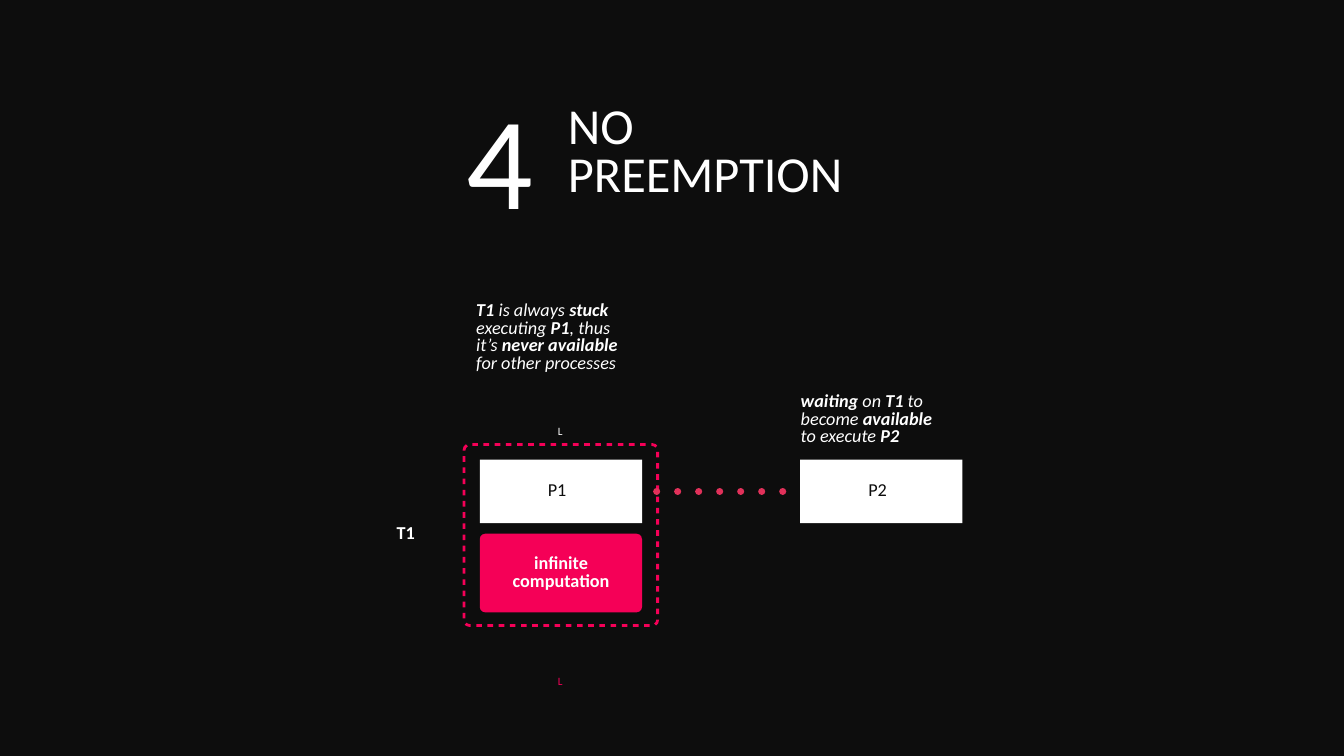
"""Build the "No preemption" slide with two processes and one busy thread."""
from lxml.etree import SubElement
from pptx import Presentation
from pptx.dml.color import RGBColor
from pptx.enum.shapes import MSO_CONNECTOR, MSO_SHAPE
from pptx.enum.text import MSO_ANCHOR, PP_ALIGN
from pptx.oxml.ns import qn
from pptx.util import Inches, Pt

BLACK = RGBColor(0x0D, 0x0D, 0x0D)
WHITE = RGBColor(0xFF, 0xFF, 0xFF)
PINK = RGBColor(0xF5, 0x00, 0x57)
ROSE = RGBColor(0xE1, 0x31, 0x5A)
PROCESS_TOP, PROCESS_WIDTH, PROCESS_HEIGHT = 9.12, 3.22, 1.26


class SlideBuilder:
    """Hold the style and the current slide."""

    font_name = "Calibri"
    margin = Inches(0.03)

    def __init__(self, slide):
        """Take the slide and paint its background."""
        self.slide = slide
        slide.background.fill.solid()
        slide.background.fill.fore_color.rgb = BLACK

    def dash(self, line, length, gap):
        """Dash a line, in percent of its width."""
        pattern = SubElement(line._get_or_add_ln(), qn("a:custDash"))
        SubElement(pattern, qn("a:ds"), d=str(length * 1000), sp=str(gap * 1000))

    def box(self, left, top, width, height, fill=None, radius=None):
        """Add a rectangle, rounded if a radius is given."""
        kind = MSO_SHAPE.RECTANGLE if radius is None else MSO_SHAPE.ROUNDED_RECTANGLE
        shape = self.slide.shapes.add_shape(
            kind, Inches(left), Inches(top), Inches(width), Inches(height))
        shape.shadow.inherit = False
        if radius is not None:
            shape.adjustments[0] = radius
        if fill is None:
            shape.fill.background()
        else:
            shape.fill.solid()
            shape.fill.fore_color.rgb = fill
        shape.line.fill.background()
        return shape

    def dashed_frame(self, left, top, width, height, radius):
        """Add an unfilled rounded frame with a dashed outline."""
        line = self.box(left, top, width, height, radius=radius).line
        line.color.rgb = PINK
        line.width = Pt(4)
        self.dash(line, 200, 200)

    def dotted_line(self, left, right, y):
        """Add a horizontal line of round dots."""
        connector = self.slide.shapes.add_connector(
            MSO_CONNECTOR.STRAIGHT, Inches(left), Inches(y), Inches(right), Inches(y))
        connector.line.color.rgb = ROSE
        connector.line.width = Pt(10)
        connector.line._get_or_add_ln().set("cap", "rnd")
        self.dash(connector.line, 100, 200)
        SubElement(connector._element.spPr, qn("a:effectLst"))

    def text(self, left, top, width, height, lines, size=26, color=WHITE,
             align=PP_ALIGN.LEFT, spacing=0.8, italic=False):
        """Add one paragraph per line; parts between asterisks are bold."""
        box = self.slide.shapes.add_textbox(
            Inches(left), Inches(top), Inches(width), Inches(height))
        frame = box.text_frame
        frame.word_wrap = True
        frame.vertical_anchor = MSO_ANCHOR.MIDDLE
        frame.margin_left = frame.margin_right = self.margin
        frame.margin_top = frame.margin_bottom = self.margin
        for index, line in enumerate(lines):
            paragraph = frame.paragraphs[0] if index == 0 else frame.add_paragraph()
            paragraph.alignment = align
            paragraph.line_spacing = spacing
            paragraph.font.name = self.font_name
            paragraph.font.size = Pt(size)
            paragraph.font.color.rgb = color
            paragraph.font.italic = italic
            for position, part in enumerate(line.split("*")):
                if part:
                    run = paragraph.add_run()
                    run.text = part
                    run.font.bold = position % 2 == 1

    def process(self, left, name):
        """Add a white process box with its name."""
        self.box(left, PROCESS_TOP, PROCESS_WIDTH, PROCESS_HEIGHT, WHITE)
        self.text(left + 1.32, PROCESS_TOP + 0.35, 0.58, 0.56, [name], color=BLACK)


def main():
    """Build and save the presentation."""
    presentation = Presentation()
    presentation.slide_width = Inches(26.67)
    presentation.slide_height = Inches(15)
    builder = SlideBuilder(presentation.slides.add_slide(presentation.slide_layouts[6]))

    builder.text(8.96, 1.3, 1.9, 3.63, ["4"], size=188, align=PP_ALIGN.CENTER, spacing=1.0)
    builder.text(11.24, 1.8, 6.98, 2.51, ["NO", "PREEMPTION"], size=72)

    builder.dashed_frame(9.21, 8.82, 3.84, 3.59, 0.03)
    builder.text(7.84, 10.33, 0.52, 0.56, ["*T1*"])
    builder.process(9.52, "P1")
    builder.box(9.52, 10.59, PROCESS_WIDTH, 1.56, PINK, 0.07)
    builder.text(9.9, 10.89, 2.47, 0.96, ["*infinite*", "*computation*"],
                 align=PP_ALIGN.CENTER)
    builder.process(15.88, "P2")
    builder.dotted_line(13.03, 15.65, PROCESS_TOP + PROCESS_HEIGHT / 2)

    builder.text(9.42, 5.82, 3.25, 1.76, [
        "*T1 *is always *stuck*",
        "executing *P1*, thus",
        "it’s *never available*",
        "for other processes",
    ], italic=True)
    builder.text(15.86, 7.65, 3.09, 1.36, [
        "*waiting *on *T1* to",
        "become *available*",
        "to execute *P2*",
    ], italic=True)
    for top, color in ((8.36, WHITE), (13.33, PINK)):
        builder.text(11.04, top, 0.2, 0.37, ["L"], size=16, color=color, spacing=1.0)

    presentation.save("out.pptx")


if __name__ == "__main__":
    main()
